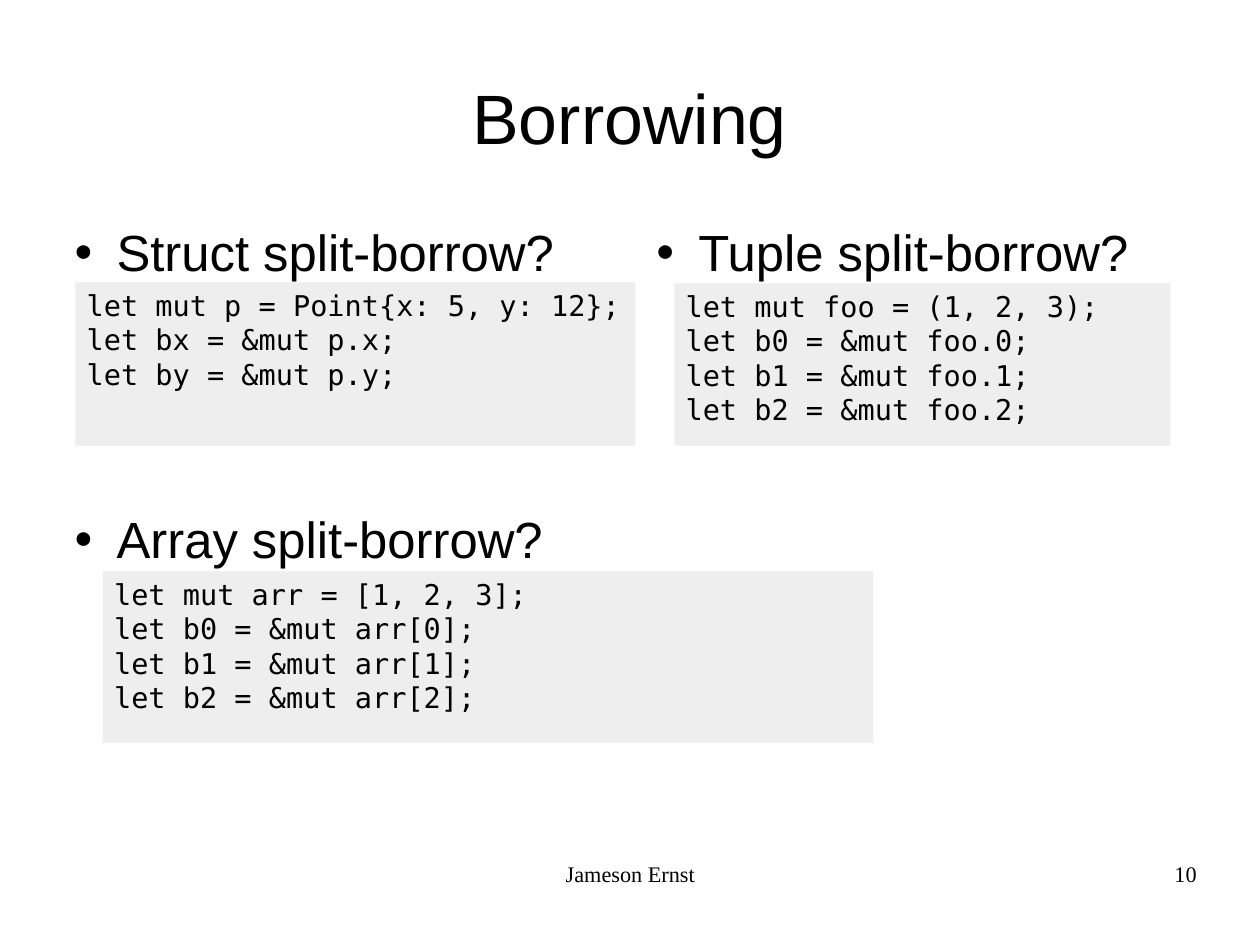
from pptx import Presentation
from pptx.dml.color import RGBColor
from pptx.enum.shapes import MSO_SHAPE
from pptx.enum.text import MSO_ANCHOR as ANCHOR, MSO_AUTO_SIZE as AUTO_SIZE, PP_ALIGN as ALIGN
from pptx.oxml import parse_xml
from pptx.oxml.ns import nsdecls
from pptx.util import Inches, Pt

CM_PER_INCH = 2.54
THEME = {
    "ink": "000000",
    "code_fill": "EEEEEE",
    "title": {"name": "Arial", "size": Pt(44)},
    "heading": {"name": "Arial", "size": Pt(32)},
    "code": {"name": "DejaVu Sans Mono", "size": Pt(18)},
    "footer": {"name": "Times New Roman", "size": Pt(14)},
}


def write_text(shape, lines, style, align=ALIGN.LEFT, anchor=ANCHOR.TOP, insets=(0, 0)):
    """Fill a shape with one paragraph per line in a theme style."""
    frame = shape.text_frame
    side, end = (Inches(inset) for inset in insets)
    frame_format = {
        "word_wrap": True, "auto_size": AUTO_SIZE.NONE, "vertical_anchor": anchor,
        "margin_left": side, "margin_right": side, "margin_top": end, "margin_bottom": end,
    }
    for name, value in frame_format.items():
        setattr(frame, name, value)
    frame.text = "\n".join(lines)
    for paragraph in frame.paragraphs:
        paragraph.alignment = align
        font = paragraph.runs[0].font
        for name, value in THEME[style].items():
            setattr(font, name, value)
        font.color.rgb = RGBColor.from_string(THEME["ink"])


def add_bullet(paragraph):
    """Give a paragraph a small round bullet with a hanging indent."""
    paragraph.space_before = Pt(14.2)
    properties = paragraph._p.get_or_add_pPr()
    properties.set("marL", str(Inches(0.47)))
    properties.set("indent", str(Inches(-0.35)))
    for tag in (
        f'<a:buClr {nsdecls("a")}><a:srgbClr val="{THEME["ink"]}"/></a:buClr>',
        f'<a:buSzPct {nsdecls("a")} val="45000"/>',
        f'<a:buFont {nsdecls("a")} typeface="{THEME["code"]["name"]}"/>',
        f'<a:buChar {nsdecls("a")} char="●"/>',
    ):
        properties.append(parse_xml(tag))


presentation = Presentation()
presentation.slide_width = Inches(28 / CM_PER_INCH)
presentation.slide_height = Inches(21 / CM_PER_INCH)
slide = presentation.slides.add_slide(presentation.slide_layouts.get_by_name("Title Only"))

title = slide.shapes.title
title.left, title.top, title.width, title.height = map(Inches, (0.55, 0.33, 9.92, 1.38))
write_text(title, ["Borrowing"], "title", ALIGN.CENTER, ANCHOR.MIDDLE)

# Each example: heading, heading box, code box, code lines
examples = [
    ("Struct split-borrow?", (0.55, 1.93, 4.84, 2.29), (0.66, 2.47, 4.9, 1.43),
     ["let mut p = Point{x: 5, y: 12};"] + [f"let b{axis} = &mut p.{axis};" for axis in "xy"]),
    ("Tuple split-borrow?", (5.64, 1.93, 4.84, 2.29), (5.9, 2.48, 4.34, 1.42),
     ["let mut foo = (1, 2, 3);"] + [f"let b{index} = &mut foo.{index};" for index in range(3)]),
    ("Array split-borrow?", (0.55, 4.44, 9.92, 2.29), (0.9, 5, 6.74, 1.5),
     ["let mut arr = [1, 2, 3];"] + [f"let b{index} = &mut arr[{index}];" for index in range(3)]),
]
for heading, heading_box, code_box, code_lines in examples:
    heading_shape = slide.shapes.add_textbox(*map(Inches, heading_box))
    write_text(heading_shape, [heading], "heading")
    add_bullet(heading_shape.text_frame.paragraphs[0])

    code_shape = slide.shapes.add_shape(MSO_SHAPE.RECTANGLE, *map(Inches, code_box))
    code_shape.shadow.inherit = False
    code_shape.fill.solid()
    code_shape.fill.fore_color.rgb = RGBColor.from_string(THEME["code_fill"])
    code_shape.line.fill.background()
    write_text(code_shape, code_lines, "code", insets=(0.1, 0.05))

for text, left, width, align in [
    ("Jameson Ernst", 3.77, 3.49, ALIGN.CENTER),
    ("10", 7.9, 2.57, ALIGN.RIGHT),
]:
    footer = slide.shapes.add_textbox(*map(Inches, (left, 7.53, width, 0.57)))
    write_text(footer, [text], "footer", align)

presentation.save("out.pptx")
